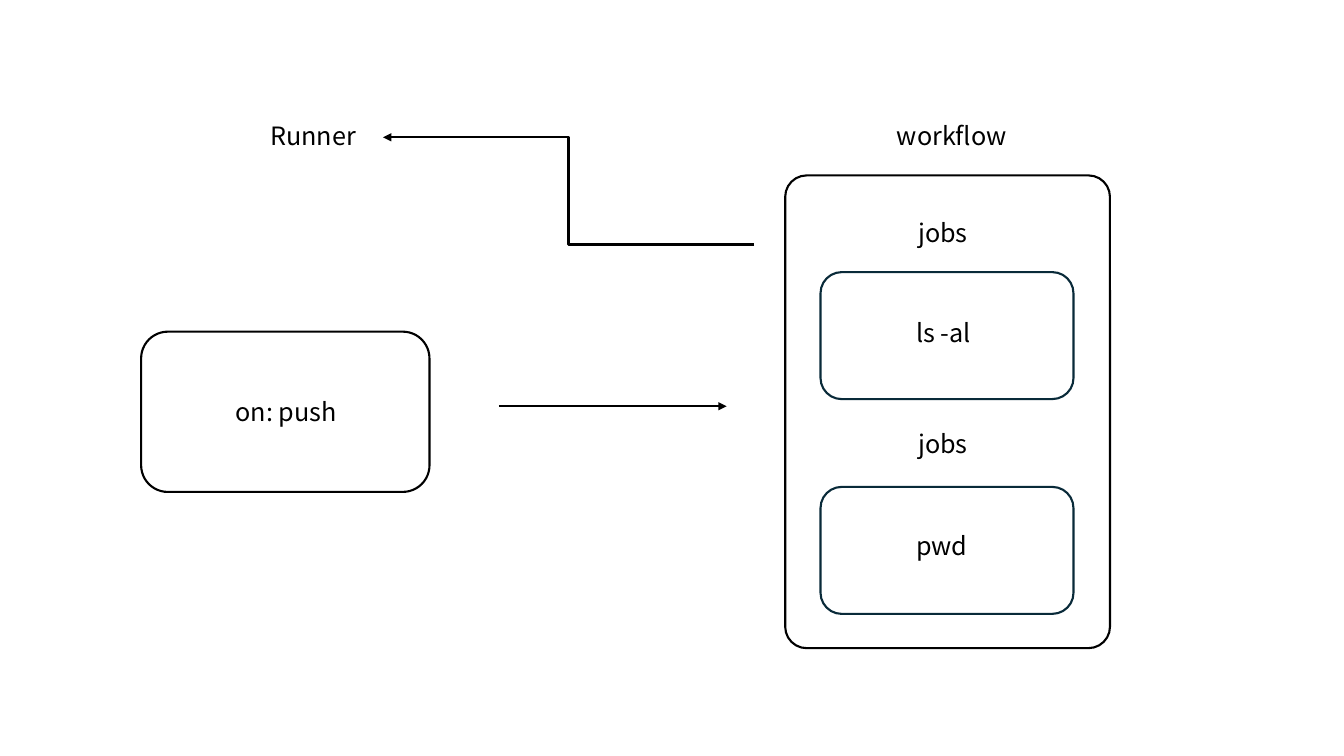
from dataclasses import dataclass
from typing import NamedTuple

from lxml.etree import SubElement
from pptx import Presentation
from pptx.dml.color import RGBColor
from pptx.enum.shapes import MSO_CONNECTOR as Link, MSO_SHAPE as Shape
from pptx.enum.text import MSO_AUTO_SIZE as AutoSize
from pptx.oxml.ns import qn
from pptx.slide import Slide
from pptx.util import Pt


@dataclass(frozen=True)
class Theme:
    font: str = "Noto Sans CJK KR"
    text_size: float = 18
    line_width: float = 1.5
    black: RGBColor = RGBColor(0x00, 0x00, 0x00)
    navy: RGBColor = RGBColor(0x09, 0x2A, 0x39)
    white: RGBColor = RGBColor(0xFF, 0xFF, 0xFF)


THEME = Theme()
LABEL_HEIGHT = 29


class Box(NamedTuple):
    left: float
    top: float
    width: float
    height: float
    line: RGBColor = THEME.black
    rounding: float = 0.16667


class Label(NamedTuple):
    text: str
    left: float
    top: float
    width: float


class Arrow(NamedTuple):
    kind: Link
    start: tuple[float, float]
    end: tuple[float, float]


class Job(NamedTuple):
    command: str
    title_top: float
    box_top: float
    command_top: float


JOBS = [Job("ls -al", 151.9, 194.4, 223.2), Job("pwd", 302.4, 347.8, 375.1)]

BOXES = [
    Box(100.8, 236.9, 206, 114.5),  # trigger
    Box(560.9, 125.3, 232, 337.7, rounding=0.066),  # workflow
    *(Box(586.1, job.box_top, 180.7, 90.7, THEME.navy) for job in JOBS),
]

LABELS = [
    Label("Runner", 185.8, 82.1, 106.6),
    Label("workflow", 633.6, 82.1, 180.7),
    Label("on: push", 161.3, 279.4, 136),
    *(Label("jobs", 648.7, job.title_top, 180.7) for job in JOBS),
    *(Label(job.command, 647.3, job.command_top, 144.7) for job in JOBS),
]

ARROWS = [
    Arrow(Link.STRAIGHT, (356.4, 290.2), (519.1, 290.2)),  # trigger to workflow
    Arrow(Link.ELBOW, (538.6, 174.7), (273.6, 98.1)),  # workflow to runner
]


def draw_box(page: Slide, box: Box) -> None:
    shape = page.shapes.add_shape(
        Shape.ROUNDED_RECTANGLE,
        Pt(box.left), Pt(box.top), Pt(box.width), Pt(box.height),
    )
    shape.adjustments[0] = box.rounding
    shape.shadow.inherit = False
    shape.fill.solid()
    shape.fill.fore_color.rgb = THEME.white
    shape.line.color.rgb = box.line
    shape.line.width = Pt(THEME.line_width)


def draw_label(page: Slide, label: Label) -> None:
    frame = page.shapes.add_textbox(
        Pt(label.left), Pt(label.top), Pt(label.width), Pt(LABEL_HEIGHT)
    ).text_frame
    frame.word_wrap = True
    frame.auto_size = AutoSize.SHAPE_TO_FIT_TEXT
    para = frame.paragraphs[0]
    span = para.add_run()
    span.text = label.text
    span.font.name = THEME.font
    span.font.size = Pt(THEME.text_size)
    span.font.color.rgb = THEME.black


def draw_arrow(page: Slide, arrow: Arrow) -> None:
    ends = [Pt(value) for value in (*arrow.start, *arrow.end)]
    connector = page.shapes.add_connector(arrow.kind, *ends)
    connector.line.color.rgb = THEME.black
    connector.line.width = Pt(THEME.line_width)
    # Arrowhead at the end, and no theme shadow
    SubElement(connector.line._get_or_add_ln(), qn("a:tailEnd"), type="triangle")
    SubElement(connector._element.spPr, qn("a:effectLst"))


def main() -> None:
    deck = Presentation()
    deck.slide_width, deck.slide_height = Pt(960), Pt(540)
    page = deck.slides.add_slide(deck.slide_layouts[6])

    for box in BOXES:
        draw_box(page, box)
    for label in LABELS:
        draw_label(page, label)
    for arrow in ARROWS:
        draw_arrow(page, arrow)

    deck.save("out.pptx")


if __name__ == "__main__":
    main()
